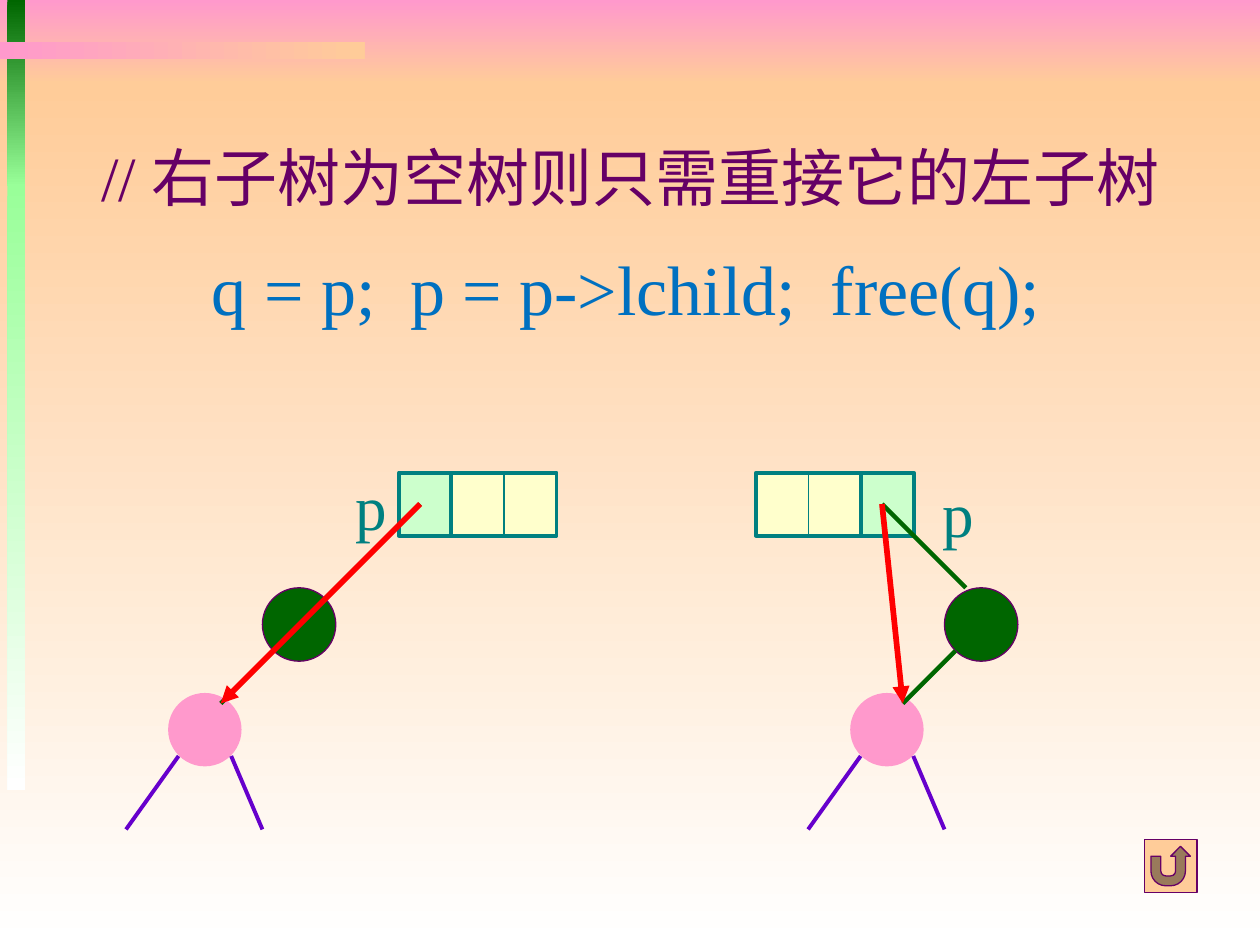
from lxml import etree
from pptx import Presentation
from pptx.dml.color import RGBColor
from pptx.enum.shapes import MSO_CONNECTOR, MSO_SHAPE
from pptx.oxml.ns import qn
from pptx.util import Cm, Pt

RECTANGLE = MSO_SHAPE.RECTANGLE
OVAL = MSO_SHAPE.OVAL
RETURN_BUTTON = MSO_SHAPE.ACTION_BUTTON_RETURN
STRAIGHT = MSO_CONNECTOR.STRAIGHT

FONT = "Times New Roman"
COLORS = {
    "pink": "FF99CC", "peach": "FFCC99", "white": "FFFFFF",
    "green": "006600", "light green": "99FF99", "purple": "660066",
    "blue": "0070C0", "teal": "008080", "mint": "CCFFCC",
    "cream": "FFFFCC", "violet": "6600CC", "red": "FF0000",
}

# Lengths are centimetres; angle 270 runs downwards
GRADIENT_BANDS = [  # left, top, width, height, first colour, last colour, angle
    (0, 0, 25.4, 1.7, "pink", "peach", 270),
    (0, 1.7, 25.4, 17.35, "peach", "white", 270),
    (0.15, 0, 0.36, 3.76, "green", "light green", 270),
    (0.15, 3.71, 0.36, 12.22, "light green", "white", 270),
    (0, 0.84, 7.35, 0.35, "pink", "peach", 0),
]
TEXTS = [  # text, left, top, width, height, size, colour, line spacing, wrap
    (" // 右子树为空树则只需重接它的左子树", 1.47, 1.9, 22.38, 2.29, 36, "purple", 1.5, True),
    ("q = p;  p = p->lchild;  free(q);", 4.02, 4.83, 17.25, 1.96, 40, "blue", None, False),
    ("p", 6.91, 9.31, 1.14, 1.78, 36, "teal", None, False),
    ("p", 18.75, 9.45, 1.14, 1.78, 36, "teal", None, False),
]
TREES = [
    {"record": 8.04, "pointer cell": 0, "origin": 3.39,
     "pointer": (8.47, 10.16), "old link end": (6.56, 12.06)},
    {"record": 15.24, "pointer cell": 2, "origin": 17.14,
     "pointer": (17.78, 10.16), "old link end": (19.47, 11.85)},
]
RECORD_TOP, CELL_WIDTH, CELL_HEIGHT = 9.53, 1.06, 1.27
CHILD_TOP, NODE_SIZE = 13.97, 1.48
# Offsets from the top left corner of the child node
DELETED_NODE = (1.9, -2.12)
LEGS = [((0.21, 1.27), (-0.85, 2.75)), ((1.27, 1.27), (1.9, 2.75))]
CHILD_LINK = ((2.12, -0.85), (1.06, 0.21))


def color(name):
    return RGBColor.from_string(COLORS[name])


def add_shape(kind, left, top, width, height, fill=None, line=None, line_width=0.75):
    shape = slide.shapes.add_shape(kind, Cm(left), Cm(top), Cm(width), Cm(height))
    shape.shadow.inherit = False
    if fill:
        shape.fill.solid()
        shape.fill.fore_color.rgb = color(fill)
    if line:
        shape.line.color.rgb = color(line)
        shape.line.width = Pt(line_width)
    else:
        shape.line.fill.background()
    return shape


def add_line(start, end, line, width, arrow=False):
    connector = slide.shapes.add_connector(STRAIGHT, *map(Cm, (*start, *end)))
    connector.line.color.rgb = color(line)
    connector.line.width = Pt(width)
    if arrow:
        etree.SubElement(connector.line._get_or_add_ln(), qn("a:tailEnd"), type="triangle")
    etree.SubElement(connector._element.spPr, qn("a:effectLst"))


def add_text(text, left, top, width, height, size, text_color, spacing, wrap):
    box = slide.shapes.add_textbox(Cm(left), Cm(top), Cm(width), Cm(height))
    box.text_frame.word_wrap = wrap
    paragraph = box.text_frame.paragraphs[0]
    paragraph.line_spacing = spacing
    run = paragraph.add_run()
    run.text = text
    run.font.name = FONT
    run.font.size = Pt(size)
    run.font.color.rgb = color(text_color)


def add_tree(tree):
    def place(offset):
        return tree["origin"] + offset[0], CHILD_TOP + offset[1]

    # Node record: one pointer cell beside a pair of plain cells
    record, pointer_cell = tree["record"], tree["pointer cell"]
    pair_left = record + (CELL_WIDTH if pointer_cell == 0 else 0)
    divider = pair_left + CELL_WIDTH
    add_shape(RECTANGLE, record + pointer_cell * CELL_WIDTH, RECORD_TOP,
              CELL_WIDTH, CELL_HEIGHT, "mint", "teal", 2.25)
    add_shape(RECTANGLE, pair_left, RECORD_TOP, 2 * CELL_WIDTH, CELL_HEIGHT,
              "cream", "teal", 2.25)
    add_line((divider, RECORD_TOP), (divider, RECORD_TOP + CELL_HEIGHT), "teal", 0.75)

    # Deleted node, its left child and the child's branches
    add_shape(OVAL, *place(DELETED_NODE), NODE_SIZE, NODE_SIZE, "green", "purple")
    add_shape(OVAL, *place((0, 0)), NODE_SIZE, NODE_SIZE, "pink")
    for start, end in LEGS:
        add_line(place(start), place(end), "violet", 2.25)

    # Old links in green, relinked pointer in red
    link_start, link_end = map(place, CHILD_LINK)
    add_line(link_start, link_end, "green", 2.5)
    add_line(tree["pointer"], tree["old link end"], "green", 2.5)
    add_line(tree["pointer"], link_end, "red", 3.25, arrow=True)


presentation = Presentation()
presentation.slide_width, presentation.slide_height = Cm(25.4), Cm(19.05)
slide = presentation.slides.add_slide(presentation.slide_layouts[6])

# Background and decorative bars
for *bounds, first, last, angle in GRADIENT_BANDS:
    band = add_shape(RECTANGLE, *bounds)
    band.fill.gradient()
    band.fill.gradient_angle = angle
    for stop, name, position in zip(band.fill.gradient_stops, (first, last), (0, 1)):
        stop.color.rgb = color(name)
        stop.position = position

# Diagrams, wording and return button
for tree in TREES:
    add_tree(tree)
for entry in TEXTS:
    add_text(*entry)
add_shape(RETURN_BUTTON, 23.07, 16.93, 1.06, 1.06, "peach", "purple")

presentation.save("out.pptx")
